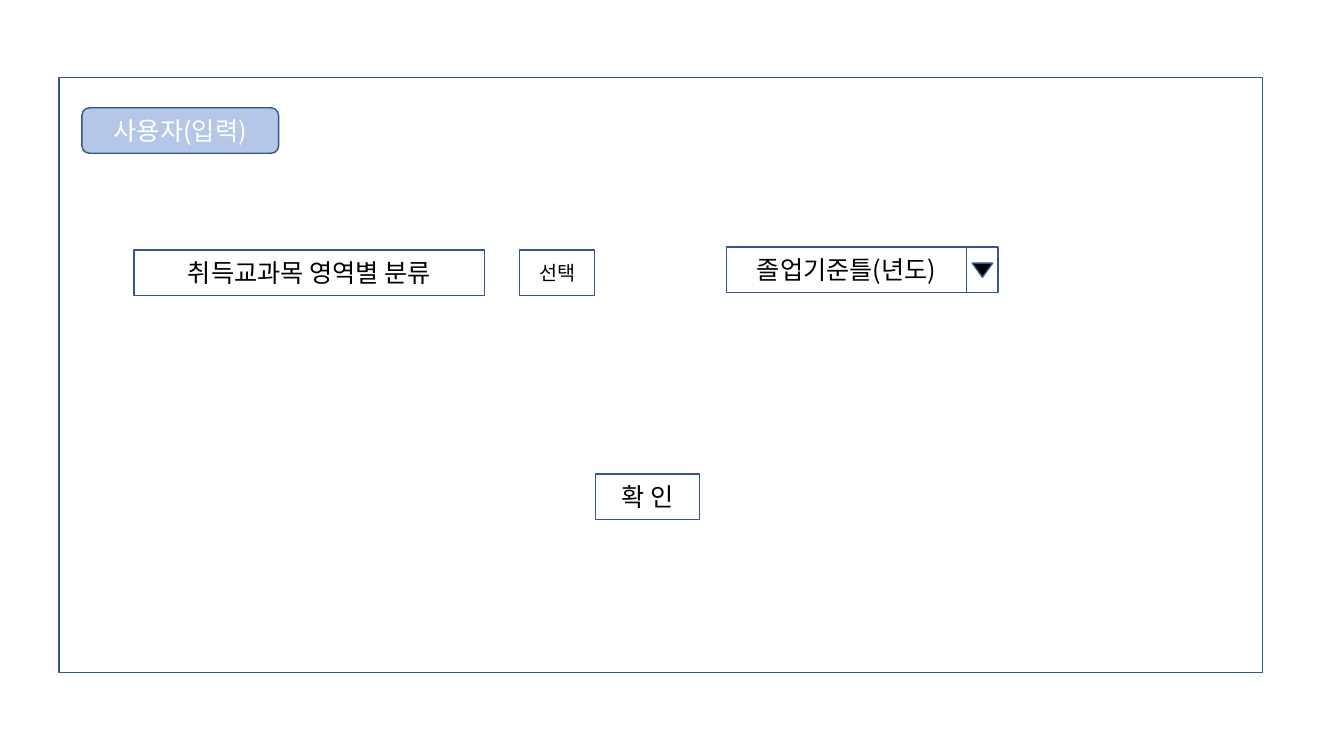
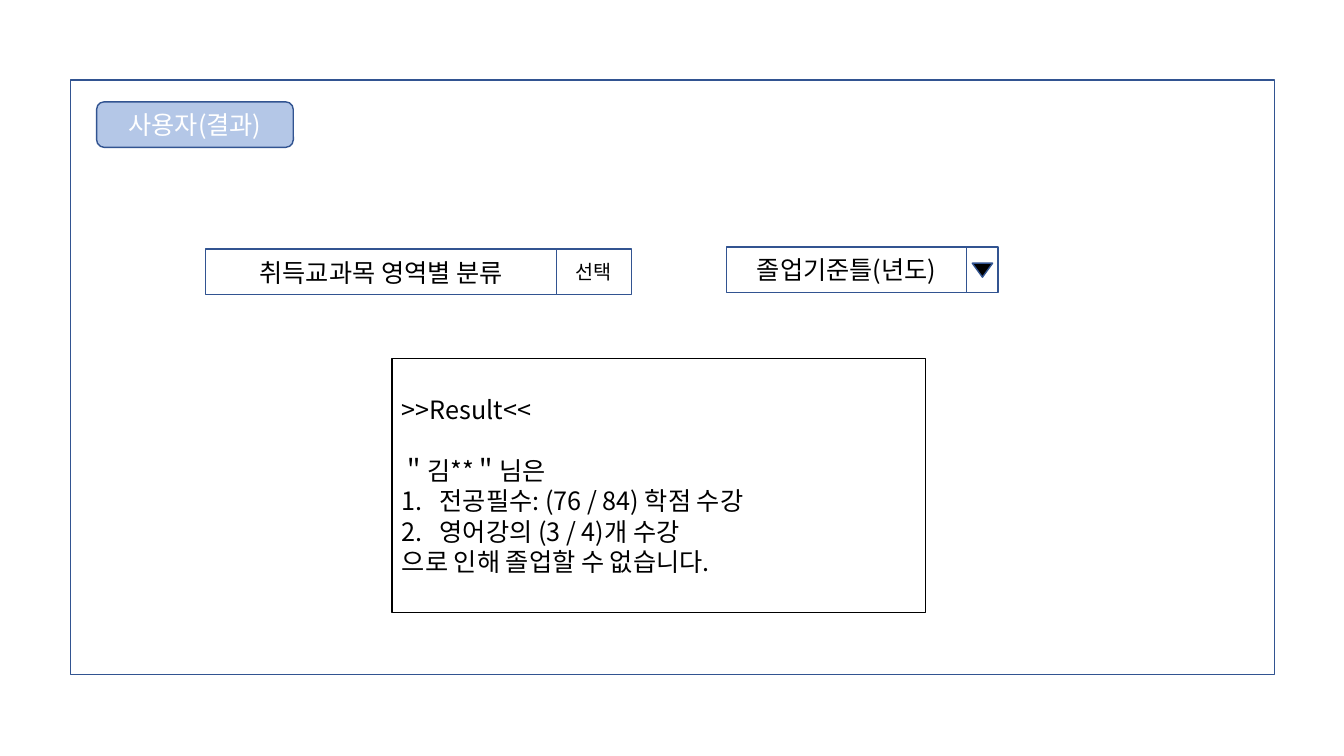
from pptx import Presentation
from pptx.dml.color import RGBColor
from pptx.enum.shapes import MSO_SHAPE as Shape
from pptx.enum.text import MSO_ANCHOR as Anchor, PP_ALIGN as Align
from pptx.oxml.ns import qn
from pptx.util import Pt
from lxml.etree import SubElement

RESULT_LINES = [
    # text, numbered, space before
    (">>Result<<", False, 0),
    ("＂김**＂님은", False, 21.7),
    ("전공필수: (76 / 84) 학점 수강", True, 0),
    ("영어강의 (3 / 4)개 수강", True, 0),
    ("으로 인해 졸업할 수 없습니다.", False, 0),
]


def color(hex_text):
    return RGBColor.from_string(hex_text)


class Wireframe:
    """Shared style plus the page being drawn."""

    FONT = "Noto Sans CJK KR"
    BLACK, WHITE, BLUE, PALE = "000000", "FFFFFF", "325491", "B4C7E7"
    TEXT, SMALL = 18, 14
    ROW = 32.5  # height of every field and button
    LINE_PITCH = 21.7
    INDENT = 27

    def __init__(self):
        self.deck = Presentation()
        self.deck.slide_width, self.deck.slide_height = Pt(960), Pt(540)
        self.page = None

    def add_page(self):
        self.page = self.deck.slides.add_slide(self.deck.slide_layouts[6])

    def box(self, left, top, width, height, kind=Shape.RECTANGLE,
            fill=WHITE, line=BLUE, weight=1):
        box = self.page.shapes.add_shape(
            kind, Pt(left), Pt(top), Pt(width), Pt(height))
        box.shadow.inherit = False
        if fill:
            box.fill.solid()
            box.fill.fore_color.rgb = color(fill)
        else:
            box.fill.background()
        box.line.color.rgb = color(line)
        box.line.width = Pt(weight)
        return box

    def add_span(self, para, text, size=TEXT, ink=BLACK):
        span = para.add_run()
        span.text = text
        span.font.size = Pt(size)
        span.font.color.rgb = color(ink)
        span.font.name = self.FONT
        east_asian = SubElement(span.font._element, qn("a:ea"))
        east_asian.set("typeface", self.FONT)

    def frame(self, left, top):
        self.box(left, top, 860, 425)

    def label(self, left, top, width, text, size=TEXT, ink=BLACK, **look):
        box = self.box(left, top, width, self.ROW, **look)
        box.text_frame.word_wrap = True
        box.text_frame.vertical_anchor = Anchor.MIDDLE
        para = box.text_frame.paragraphs[0]
        para.alignment = Align.CENTER
        self.add_span(para, text, size, ink)

    def badge(self, left, top, text):
        self.label(left, top, 140.5, text, ink=self.WHITE,
                   kind=Shape.ROUNDED_RECTANGLE, fill=self.PALE)

    def course_picker(self, left, top, gap):
        width = 250.5
        self.label(left, top, width, "취득교과목 영역별 분류")
        self.label(left + width + gap, top, 53.5, "선택", self.SMALL)

    def year_dropdown(self, left=519, top=176.5):
        width, button, arrow = 171.5, 22.5, 14.5
        self.label(left, top, width, "졸업기준틀(년도)")
        self.box(left + width, top, button, self.ROW)
        triangle = self.box(left + width + (button - arrow) / 2, top + 11.5,
                            arrow, 10, Shape.ISOSCELES_TRIANGLE, self.BLACK)
        triangle.rotation = 180

    def number(self, para):
        properties = para._p.get_or_add_pPr()
        properties.set("marL", str(Pt(self.INDENT)))
        properties.set("indent", str(-Pt(self.INDENT)))
        SubElement(properties, qn("a:buFont")).set("typeface", self.FONT)
        SubElement(properties, qn("a:buAutoNum")).set("type", "arabicPeriod")

    def result(self, left, top, width, height, lines):
        box = self.box(left, top, width, height, fill=None,
                       line=self.BLACK, weight=0.75)
        text = box.text_frame
        text.word_wrap = True
        text.vertical_anchor = Anchor.TOP
        text.margin_top = Pt(3.6 + self.LINE_PITCH)
        for index, (words, numbered, before) in enumerate(lines):
            para = text.add_paragraph() if index else text.paragraphs[0]
            para.alignment = Align.LEFT
            para.line_spacing = Pt(self.LINE_PITCH)
            para.space_before = Pt(before)
            if numbered:
                self.number(para)
            self.add_span(para, words)


def main():
    wire = Wireframe()

    # Input page
    wire.add_page()
    wire.frame(42, 55.5)
    wire.badge(58.5, 77, "사용자(입력)")
    wire.course_picker(95.75, 178.5, gap=25)
    wire.year_dropdown()
    wire.label(425.5, 338.5, 74, "확 인")

    # Result page
    wire.add_page()
    wire.frame(50.25, 57)
    wire.badge(69, 72.75, "사용자(결과)")
    wire.course_picker(147, 178, gap=0)
    wire.year_dropdown()
    wire.result(280, 256.25, 381, 181.5, RESULT_LINES)

    wire.deck.save("out.pptx")


if __name__ == "__main__":
    main()
